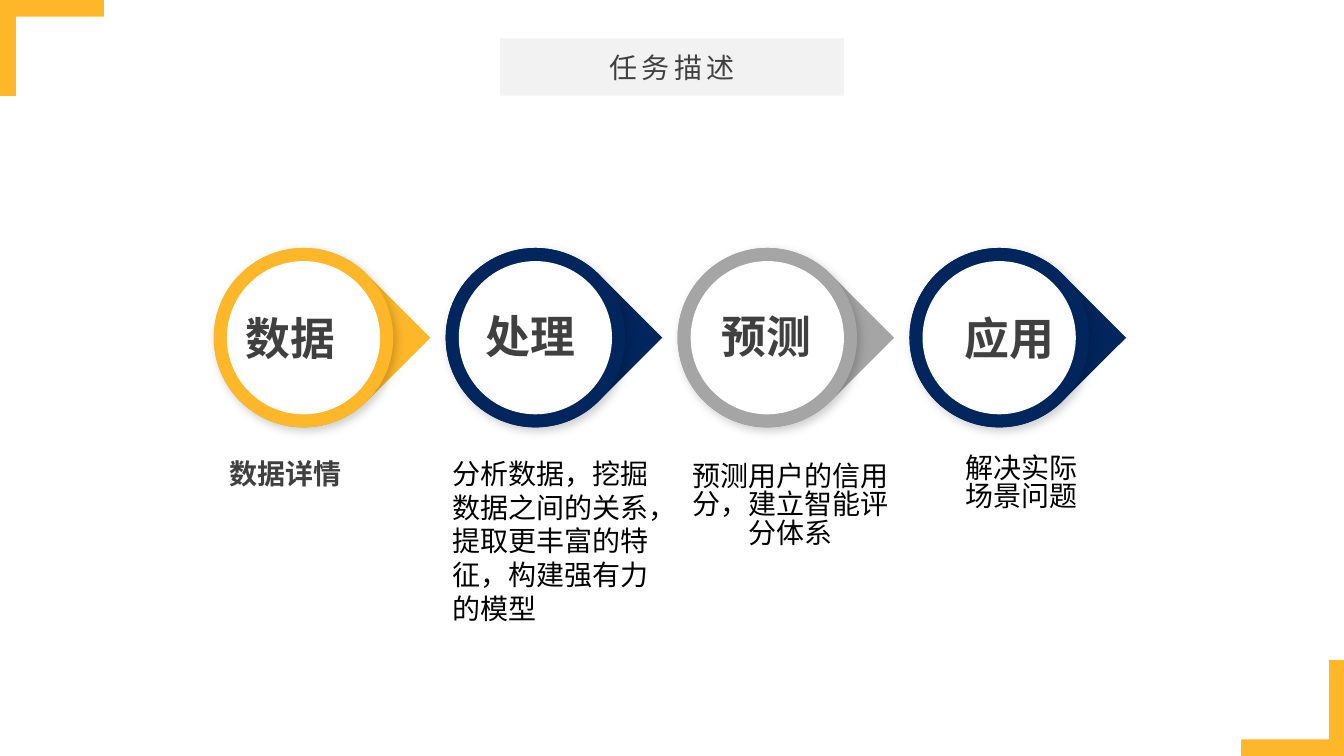
from lxml import etree
from pptx import Presentation
from pptx.dml.color import RGBColor
from pptx.enum.shapes import MSO_SHAPE
from pptx.enum.text import MSO_ANCHOR, MSO_AUTO_SIZE, PP_ALIGN
from pptx.oxml.ns import qn
from pptx.util import Inches, Pt

CENTER, LEFT = PP_ALIGN.CENTER, PP_ALIGN.LEFT
TOP = MSO_ANCHOR.TOP
GROW = MSO_AUTO_SIZE.SHAPE_TO_FIT_TEXT
RECT, OVAL, TEAR = MSO_SHAPE.RECTANGLE, MSO_SHAPE.OVAL, MSO_SHAPE.TEAR

FONT = "Noto Sans CJK SC"
YELLOW, NAVY, GRAY = "FEB728", "00265D", "A5A5A5"
WHITE, BLACK, DARK, PALE = "FFFFFF", "000000", "404040", "F2F2F2"

TITLE = "任务描述"
STEP_COLORS = [YELLOW, NAVY, GRAY, NAVY]
LABELS = [
    ("数据", (2.34, 3.03, 1.19, 0.64)),
    ("处理", (4.72, 3.01, 1.19, 1.18)),
    ("预测", (7.06, 3.01, 1.19, 0.64)),
    ("应用", (9.47, 3.03, 1.19, 0.64)),
]
LABEL_FONT = {"size": Pt(32), "bold": True}
DETAIL_FONT = {"size": Pt(20), "bold": False}
HEADING_FONT = {"size": Pt(20), "bold": True}
LEFT_PARA = {"alignment": LEFT}
TIGHT_PARA = {"alignment": CENTER, "line_spacing": Pt(20)}
DETAILS = [
    ("数据详情", (2.18, 4.48, 1.49, 0.44), HEADING_FONT, DARK, LEFT_PARA),
    ("分析数据，挖掘数据之间的关系，提取更丰富的特征，构建强有力的模型",
     (4.39, 4.48, 2.25, 1.78), DETAIL_FONT, BLACK, LEFT_PARA),
    ("预测用户的信用分，建立智能评分体系",
     (6.74, 4.56, 2.2, 0.94), DETAIL_FONT, BLACK, TIGHT_PARA),
    ("解决实际场景问题",
     (9.37, 4.48, 1.52, 0.66), DETAIL_FONT, BLACK, TIGHT_PARA),
]
FIRST_X, CENTER_Y, PITCH = 3.01, 3.35, 2.3
OUTER, INNER = 0.89, 0.76
CORNERS = [((12.31, 6.55), 0), ((0, 0), 180)]
CORNER_ADJUST = {"adj1": 17400, "adj2": 16600}


def rgb(value):
    return RGBColor.from_string(value)


def set_all(obj, values):
    for name, value in values.items():
        setattr(obj, name, value)


def add_shape(kind, box, color):
    sp = s.shapes.add_shape(kind, *map(Inches, box))
    sp.shadow.inherit = False
    sp.fill.solid()
    sp.fill.fore_color.rgb = rgb(color)
    sp.line.fill.background()
    return sp


def add_corner(place, turn):
    sp = add_shape(RECT, (*place, 1.03, 0.95), YELLOW)
    sp.rotation = turn
    sp._element.spPr.find(qn("a:xfrm")).set("flipH", "1")
    geom = sp._element.spPr.find(qn("a:prstGeom"))
    geom.set("prst", "corner")
    for name, value in CORNER_ADJUST.items():
        etree.SubElement(geom.find(qn("a:avLst")), qn("a:gd"),
                         name=name, fmla=f"val {value}")


def add_disc(kind, cx, radius, color):
    box = (cx - radius, CENTER_Y - radius, 2 * radius, 2 * radius)
    return add_shape(kind, box, color)


def add_shadow(sp):
    effects = sp._element.spPr.find(qn("a:effectLst"))
    shadow = etree.SubElement(
        effects, qn("a:outerShdw"), blurRad=str(Pt(7)), dist=str(Pt(3)),
        dir=str(45 * 60000), algn="tl", rotWithShape="0")
    color = etree.SubElement(shadow, qn("a:srgbClr"), val=BLACK)
    etree.SubElement(color, qn("a:alpha"), val="20000")


def write(tf, text, font, color, para):
    set_all(tf, {"word_wrap": True, "auto_size": GROW, "vertical_anchor": TOP})
    p = tf.paragraphs[0]
    set_all(p, para)
    r = p.add_run()
    r.text = text
    set_all(r.font, {"name": FONT, **font})
    r.font.color.rgb = rgb(color)
    etree.SubElement(r._r.get_or_add_rPr(), qn("a:ea"), typeface=FONT)
    return r


def add_text(text, box, font, color, para):
    sp = s.shapes.add_textbox(*map(Inches, box))
    write(sp.text_frame, text, font, color, para)


prs = Presentation()
prs.slide_width, prs.slide_height = Inches(13.33), Inches(7.5)
s = prs.slides.add_slide(prs.slide_layouts[5])

for place, turn in CORNERS:
    add_corner(place, turn)

bar = add_shape(RECT, (4.96, 0.38, 3.41, 0.57), PALE)
title = s.shapes.title
bar._element.addnext(title._element)
set_all(title, {"left": Inches(5.43), "top": Inches(0.5),
                "width": Inches(2.47), "height": Inches(0.34)})
tf = title.text_frame
set_all(tf, dict.fromkeys(
    ["margin_left", "margin_top", "margin_right", "margin_bottom"], 0))
r = write(tf, TITLE, DETAIL_FONT, DARK, {"alignment": CENTER})
r._r.get_or_add_rPr().set("spc", "300")

for i, color in enumerate(STEP_COLORS):
    cx = FIRST_X + i * PITCH
    add_disc(TEAR, cx, OUTER, color).rotation = 45
    add_shadow(add_disc(OVAL, cx, OUTER, color))
    add_disc(OVAL, cx, INNER, WHITE)

for text, box in LABELS:
    add_text(text, box, LABEL_FONT, DARK, LEFT_PARA)
for detail in DETAILS:
    add_text(*detail)

prs.save("out.pptx")
